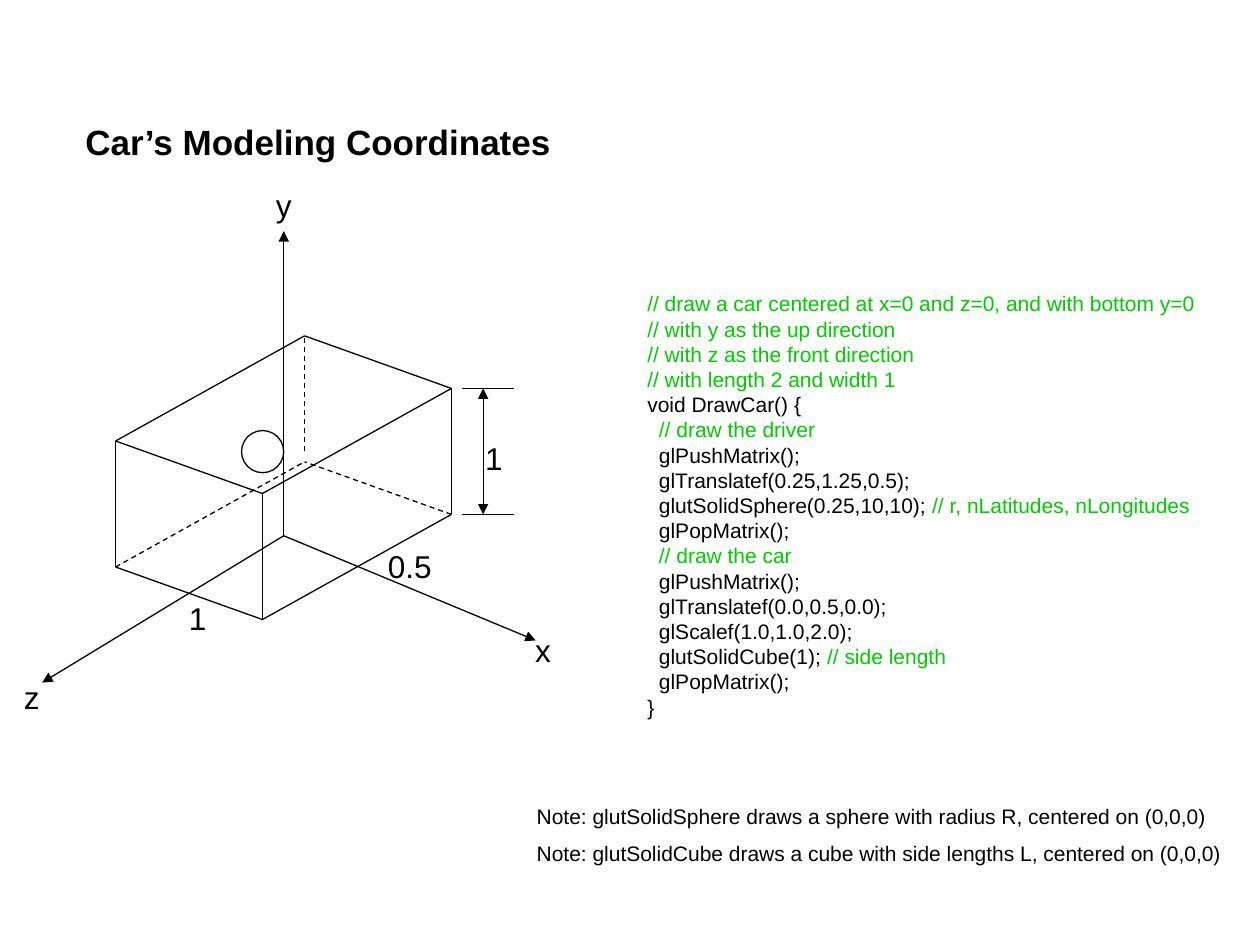
from lxml import etree
from pptx import Presentation
from pptx.dml.color import RGBColor
from pptx.enum.dml import MSO_LINE
from pptx.enum.shapes import MSO_CONNECTOR, MSO_SHAPE
from pptx.enum.text import MSO_AUTO_SIZE
from pptx.oxml.ns import qn
from pptx.util import Cm, Pt

STRAIGHT = MSO_CONNECTOR.STRAIGHT
OVAL = MSO_SHAPE.OVAL
DASH = MSO_LINE.DASH
FIT = MSO_AUTO_SIZE.SHAPE_TO_FIT_TEXT

BLACK = "000000"
GREEN = "00CC00"

CODE = """// draw a car centered at x=0 and z=0, and with bottom y=0
// with y as the up direction
// with z as the front direction
// with length 2 and width 1
void DrawCar() {
  // draw the driver
  glPushMatrix();
  glTranslatef(0.25,1.25,0.5);
  glutSolidSphere(0.25,10,10); // r, nLatitudes, nLongitudes
  glPopMatrix();
  // draw the car
  glPushMatrix();
  glTranslatef(0.0,0.5,0.0);
  glScalef(1.0,1.0,2.0);
  glutSolidCube(1); // side length
  glPopMatrix();
}"""

NOTES = [
    ("Note: glutSolidSphere draws a sphere with radius R, centered on (0,0,0)", 16.08, 14.02),
    ("Note: glutSolidCube draws a cube with side lengths L, centered on (0,0,0)", 16.81, 14.33),
]

LABELS = [
    ("z", 0.23, 13.54, 0.81),
    ("x", 10.54, 12.6, 0.81),
    ("y", 5.31, 3.63, 0.81),
    ("1", 3.56, 11.96, 0.86),
    ("0.5", 7.57, 10.9, 1.4),
    ("1", 9.53, 8.72, 0.86),
]

ORIGIN = (5.72, 10.8)
AXIS_ENDS = [(10.8, 12.91), (0.85, 13.76), (5.72, 4.66)]

CAR_HEIGHT = 2.54
LEFT, FRONT, RIGHT, BACK = (2.33, 8.89), (5.29, 9.95), (9.1, 7.83), (6.14, 6.77)


def colour(value):
    return RGBColor.from_string(value)


def lowered(corner):
    x, y = corner
    return x, y + CAR_HEIGHT


def code_runs(line):
    statement, slashes, comment = line.partition("//")
    if not statement.strip():
        return [(line, GREEN)]
    runs = [(statement, BLACK)]
    if slashes:
        runs.append((slashes + comment, GREEN))
    return runs


class SlideBuilder:
    font_name = "Arial"
    line_width = Pt(0.75)

    def __init__(self, presentation):
        self.slide = presentation.slides.add_slide(presentation.slide_layouts[6])

    def apply(self, target, values):
        for name, value in values.items():
            setattr(target, name, value)

    def outline(self, shape):
        shape.line.color.rgb = colour(BLACK)
        shape.line.width = self.line_width

    def text(self, paragraphs, left, top, width, height, size, bold=False):
        shape = self.slide.shapes.add_textbox(Cm(left), Cm(top), Cm(width), Cm(height))
        frame = shape.text_frame
        self.apply(frame, {"word_wrap": False, "auto_size": FIT})
        for index, runs in enumerate(paragraphs):
            paragraph = frame.add_paragraph() if index else frame.paragraphs[0]
            for content, hex_value in runs:
                run = paragraph.add_run()
                run.text = content
                self.apply(run.font, {"name": self.font_name, "size": Pt(size), "bold": bold})
                run.font.color.rgb = colour(hex_value)

    def line(self, start, end, dash=None, arrows=()):
        shape = self.slide.shapes.add_connector(
            STRAIGHT, *(Cm(value) for value in (*start, *end))
        )
        self.outline(shape)
        if dash:
            shape.line.dash_style = dash
        properties = shape._element.spPr
        for arrow in arrows:
            etree.SubElement(properties.find(qn("a:ln")), qn(arrow), type="triangle")
        etree.SubElement(properties, qn("a:effectLst"))

    def circle(self, left, top, diameter):
        shape = self.slide.shapes.add_shape(
            OVAL, Cm(left), Cm(top), Cm(diameter), Cm(diameter)
        )
        shape.shadow.inherit = False
        shape.fill.background()
        self.outline(shape)


def draw_car(builder):
    top = [LEFT, FRONT, RIGHT, BACK]
    for start, end in zip(top, top[1:] + top[:1]):
        builder.line(start, end)
    for corner in (LEFT, FRONT, RIGHT):
        builder.line(corner, lowered(corner))
    for corner in (LEFT, RIGHT):
        builder.line(lowered(corner), lowered(FRONT))
        builder.line(lowered(corner), lowered(BACK), dash=DASH)
    builder.line((BACK[0], 9.1), BACK, dash=DASH)
    builder.circle(4.87, 8.68, 0.85)


def draw_height_mark(builder):
    top = RIGHT[1]
    bottom = top + CAR_HEIGHT
    for y in (top, bottom):
        builder.line((9.31, y), (10.37, y))
    builder.line((9.74, bottom), (9.74, top), arrows=("a:headEnd", "a:tailEnd"))


def main():
    presentation = Presentation()
    presentation.slide_width = Cm(25.4)
    presentation.slide_height = Cm(19.05)
    builder = SlideBuilder(presentation)

    builder.text([[("Car’s Modeling Coordinates", BLACK)]], 1.47, 2.3, 10, 1.12, 20, bold=True)
    code = [code_runs(line) for line in CODE.splitlines()]
    builder.text(code, 12.8, 5.74, 11.56, 8.89, 12)
    for note, top, width in NOTES:
        builder.text([[(note, BLACK)]], 10.57, top, width, 0.76, 12)

    for end in AXIS_ENDS:
        builder.line(ORIGIN, end, arrows=("a:tailEnd",))
    draw_car(builder)
    draw_height_mark(builder)
    for label, left, top, width in LABELS:
        builder.text([[(label, BLACK)]], left, top, width, 1.02, 18)

    presentation.save("out.pptx")


if __name__ == "__main__":
    main()
